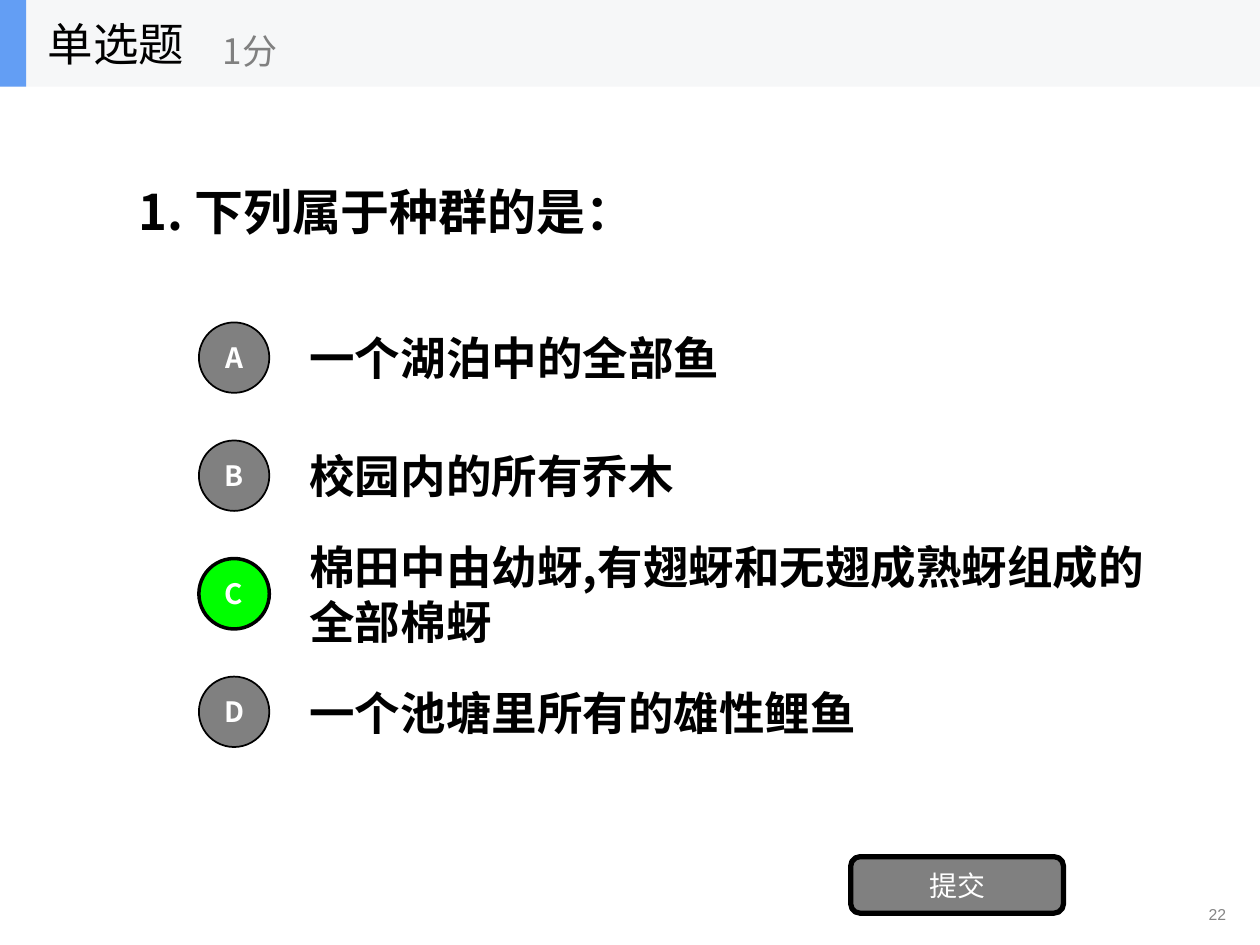
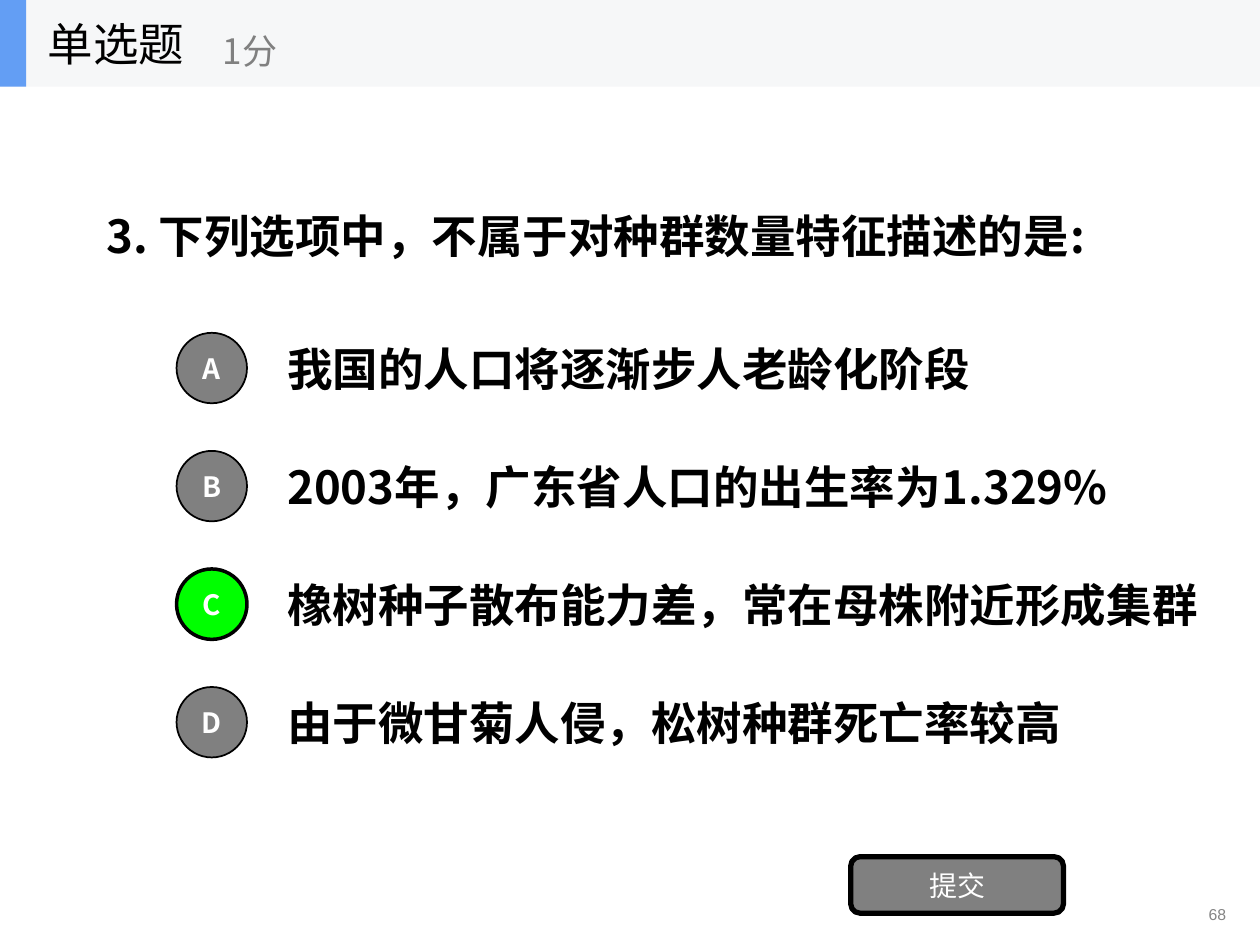
from dataclasses import dataclass

from lxml import etree
from pptx import Presentation
from pptx.dml import color
from pptx.enum import shapes, text
from pptx.oxml import ns
from pptx.util import Cm, Pt

ALIGN = text.PP_ALIGN
SHAPE = shapes.MSO_SHAPE


@dataclass(frozen=True)
class Theme:
    font: str = "Noto Sans CJK SC"
    number_font: str = "Arial"
    ink: str = "000000"
    paper: str = "FFFFFF"
    gray: str = "808080"
    number_gray: str = "858585"
    band: str = "F6F7F8"
    accent: str = "639EF4"
    correct: str = "00FF00"
    heading_size: int = 26
    points_size: int = 20
    option_size: int = 26
    label_size: int = 16
    number_size: int = 9


@dataclass(frozen=True)
class Question:
    prompt: str
    prompt_area: tuple
    prompt_size: int
    options: tuple
    option_widths: tuple
    badge_left: float
    badge_top: float
    answer: str
    number: str


THEME = Theme()
SLIDE_WIDTH, SLIDE_HEIGHT = 25.4, 19.05
BAND_HEIGHT = 1.75
BADGE_SIZE = 1.42
OPTION_HEIGHT = 1.78
OPTION_OFFSET = 1.98
ROW_STEP = 2.38
OPTION_WIDTH = 17.78

QUESTIONS = (
    Question(
        prompt="1. 下列属于种群的是：",
        prompt_area=(2.54, 2.57, 20.32, 3.35),
        prompt_size=28,
        options=(
            "一个湖泊中的全部鱼",
            "校园内的所有乔木",
            "棉田中由幼蚜,有翅蚜和无翅成熟蚜组成的全部棉蚜",
            "一个池塘里所有的雄性鲤鱼",
        ),
        option_widths=(OPTION_WIDTH,) * 4,
        badge_left=4.01,
        badge_top=6.5,
        answer="C",
        number="22",
    ),
    Question(
        prompt="3. 下列选项中，不属于对种群数量特征描述的是:",
        prompt_area=(1.9, 3.15, 20.32, 3.18),
        prompt_size=26,
        options=(
            "我国的人口将逐渐步人老龄化阶段",
            "2003年，广东省人口的出生率为1.329%",
            "橡树种子散布能力差，常在母株附近形成集群",
            "由于微甘菊人侵，松树种群死亡率较高",
        ),
        option_widths=(OPTION_WIDTH, OPTION_WIDTH, 19.86, OPTION_WIDTH),
        badge_left=3.56,
        badge_top=6.71,
        answer="C",
        number="68",
    ),
)


def write(box, words, *, size, fill=THEME.ink, font=THEME.font, bold=False,
          align=ALIGN.LEFT, anchor=text.MSO_ANCHOR.MIDDLE, wrap=True):
    """Write one formatted paragraph into a shape."""
    frame = box.text_frame
    frame.auto_size = text.MSO_AUTO_SIZE.NONE
    frame.word_wrap = wrap
    frame.vertical_anchor = anchor
    para = frame.paragraphs[0]
    para.alignment = align
    span = para.add_run()
    span.text = words
    span.font.name = font
    span.font.size = Pt(size)
    span.font.bold = bold
    span.font.color.rgb = color.RGBColor.from_string(fill)
    east_asian = etree.SubElement(span.font._element, ns.qn("a:ea"))
    east_asian.set("typeface", font)


class QuizDeck:
    def __init__(self, theme):
        self.theme = theme
        self.deck = Presentation()
        self.deck.slide_width = Cm(SLIDE_WIDTH)
        self.deck.slide_height = Cm(SLIDE_HEIGHT)
        self.page = None

    def new_page(self):
        layout = self.deck.slide_layouts.get_by_name("Title Only")
        self.page = self.deck.slides.add_slide(layout)

    def label(self, area, words, **style):
        box = self.page.shapes.add_textbox(*map(Cm, area))
        write(box, words, **style)

    def panel(self, kind, area, fill, line_width=0):
        box = self.page.shapes.add_shape(kind, *map(Cm, area))
        box.shadow.inherit = False
        box.fill.solid()
        box.fill.fore_color.rgb = color.RGBColor.from_string(fill)
        if line_width:
            box.line.color.rgb = color.RGBColor.from_string(self.theme.ink)
            box.line.width = Pt(line_width)
        else:
            box.line.fill.background()
        return box

    def header(self, heading, points):
        theme = self.theme
        self.panel(SHAPE.RECTANGLE, (0, 0, SLIDE_WIDTH, BAND_HEIGHT), theme.band)
        self.panel(SHAPE.RECTANGLE, (0, 0, 0.53, BAND_HEIGHT), theme.accent)
        title = self.page.shapes.title
        title.left, title.top, title.width, title.height = map(
            Cm, (0.71, 0, 5.28, BAND_HEIGHT))
        write(title, heading, size=theme.heading_size, wrap=False)
        title.element.getparent().append(title.element)
        self.label((4.24, 0.3, 6.35, 1.42), points,
                   size=theme.points_size, fill=theme.gray, wrap=False)

    def badge(self, left, top, letter, correct):
        theme = self.theme
        fill, line_width = (theme.correct, 2) if correct else (theme.gray, 1)
        box = self.panel(SHAPE.OVAL, (left, top, BADGE_SIZE, BADGE_SIZE), fill, line_width)
        write(box, letter, size=theme.label_size, fill=theme.paper,
              bold=True, align=ALIGN.CENTER)

    def options(self, question):
        rows = zip("ABCD", question.options, question.option_widths)
        for row, (letter, words, width) in enumerate(rows):
            top = question.badge_top + row * ROW_STEP
            option_top = top - (OPTION_HEIGHT - BADGE_SIZE) / 2
            self.badge(question.badge_left, top, letter, letter == question.answer)
            self.label((question.badge_left + OPTION_OFFSET, option_top, width, OPTION_HEIGHT),
                       words, size=self.theme.option_size, bold=True)

    def submit_button(self, words):
        box = self.panel(SHAPE.ROUNDED_RECTANGLE, (17.15, 17.27, 4.29, 1.14),
                         self.theme.gray, 3)
        write(box, words, size=self.theme.label_size, fill=self.theme.paper,
              align=ALIGN.CENTER)

    def page_number(self, number):
        theme = self.theme
        self.label((19.89, 18.11, 5.08, 0.86), number, size=theme.number_size,
                   fill=theme.number_gray, font=theme.number_font,
                   align=ALIGN.RIGHT, anchor=text.MSO_ANCHOR.TOP)

    def question_page(self, question):
        self.new_page()
        self.header("单选题", "1分")
        self.label(question.prompt_area, question.prompt,
                   size=question.prompt_size, bold=True)
        self.options(question)
        self.submit_button("提交")
        self.page_number(question.number)


def main():
    """Build the single-choice question slides."""
    quiz = QuizDeck(THEME)
    for question in QUESTIONS:
        quiz.question_page(question)
    quiz.deck.save("out.pptx")


if __name__ == "__main__":
    main()
